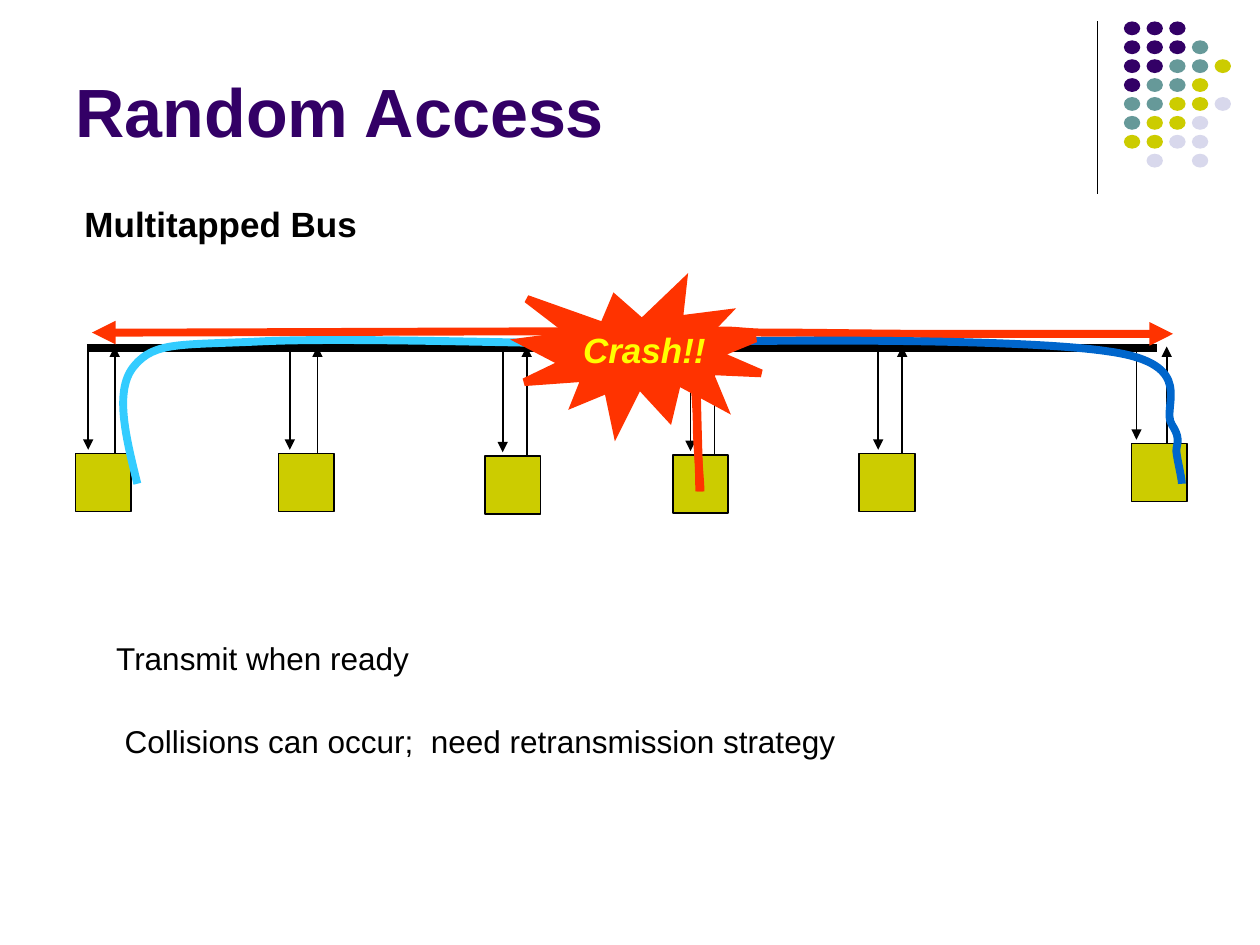
import pptx
import pptx.util
import pptx.dml.color
import pptx.enum.shapes
import pptx.enum.text
import pptx.oxml
import pptx.oxml.ns

HUE = {"plum": "330066", "teal": "669999", "lime": "CCCC00", "mist": "D8D8EC",
       "black": "000000", "red": "FF3300", "sky": "33CCFF", "blue": "0066CC",
       "gold": "FFFF00"}
WIDE, HIGH = 10, 7.5
FONT = "Arial"

TITLE = ("Random Access", (0.5, 0.13, 8.25, 1.12), 39, "plum")
HEAD = ("Multitapped Bus", (0.45, 1.56, 2.92, 0.43), 20)
INSET = 0.22
NOTES = [
    ("Transmit when ready", (0.82, 5.02, 2.53, 0.4)),
    ("Collisions can occur;  need retransmission strategy", (0.86, 5.68, 5.9, 0.4)),
]
CRASH = ("Crash!!", (4.48, 2.56, 1.27, 0.43), 20, "gold")
SEAL = (4.15, 2.25, 1.89, 1.16)

DOTS = ["PPP", "PPPT", "PPTTY", "PTTY", "TTYYL", "TYYL", "YYLL", " L L"]
KEY = {"P": "plum", "T": "teal", "Y": "lime", "L": "mist"}
DOT = (8.92, 0.17, 0.13, 0.11)
STEP = (0.18, 0.15)

BUS = 2.76
SIDE = (0.44, 0.46)
NODES = [
    (0.6, 3.6, 0.1, 0.31),
    (2.21, 3.6, 0.09, 0.31),
    (3.85, 3.62, 0.14, 0.33),
    (5.34, 3.61, 0.14, 0.33),
    (6.82, 3.6, 0.15, 0.34),
    (8.98, 3.52, 0.04, 0.28),
]

WAVES = [
    ("red", [(5.55, 3.9), (5.55, 3.75), (5.53, 3.22), (5.53, 3.01),
             (5.52, 2.8), (5.68, 2.7), (5.51, 2.64),
             (5.33, 2.58), (5.29, 2.63), (4.49, 2.63),
             (3.7, 2.63), (1.52, 2.64), (0.73, 2.64)]),
    ("red", [(5.56, 3.9), (5.56, 3.81), (5.53, 3.55), (5.53, 3.35),
             (5.53, 3.15), (5.47, 2.8), (5.57, 2.69),
             (5.68, 2.57), (5.84, 2.65), (6.16, 2.64),
             (6.48, 2.64), (6.96, 2.65), (7.48, 2.65),
             (8.01, 2.65), (8.93, 2.65), (9.31, 2.65)]),
    ("sky", [(1.09, 3.84), (1, 3.47), (0.9, 3.09), (1.07, 2.9),
             (1.23, 2.71), (1.44, 2.74), (2.07, 2.71),
             (2.69, 2.68), (4.35, 2.73), (4.81, 2.73)]),
    ("blue", [(9.38, 3.84), (9.38, 3.8), (9.35, 3.68), (9.34, 3.61),
              (9.32, 3.53), (9.39, 3.51), (9.3, 3.37),
              (9.21, 3.23), (9.52, 2.89), (8.8, 2.79),
              (8.08, 2.68), (5.59, 2.7), (5, 2.73)]),
]

KIND = pptx.enum.shapes.MSO_SHAPE
ALIGN = pptx.enum.text.PP_ALIGN
LEFT, MID = ALIGN.LEFT, ALIGN.CENTER


def inch(*vals):
    return [pptx.util.Inches(val) for val in vals]


def rgb(hue):
    return pptx.dml.color.RGBColor.from_string(HUE[hue])


def tag(host, name, **attrs):
    ns = "http://schemas.openxmlformats.org/drawingml/2006/main"
    item = pptx.oxml.parse_xml(f'<a:{name} xmlns:a="{ns}"/>')
    for attr, val in attrs.items():
        item.set(attr, val)
    host.append(item)
    return item


def stroke(item, hue, size, head=False, miter=False):
    item.line.color.rgb = rgb(hue)
    item.line.width = pptx.util.Pt(size)
    pen = item.line._get_or_add_ln()
    if miter:
        tag(pen, "miter", lim="800000")
    if head:
        tag(pen, "tailEnd", type="triangle")


def shape(kind, box, hue):
    item = slide.shapes.add_shape(kind, *inch(*box))
    item.shadow.inherit = False
    item.fill.solid()
    item.fill.fore_color.rgb = rgb(hue)
    item.line.fill.background()
    return item


def line(start, end, size, head=False):
    kind = pptx.enum.shapes.MSO_CONNECTOR.STRAIGHT
    item = slide.shapes.add_connector(kind, *inch(*start, *end))
    stroke(item, "black", size, head)
    tag(item._element.spPr, "effectLst")


def curve(item):
    name = pptx.oxml.ns.qn
    track = next(item._element.iter(name("a:path")))
    legs = track.findall(name("a:lnTo"))
    for at in range(0, len(legs), 3):
        bend = tag(track, "cubicBezTo")
        for leg in legs[at:at + 3]:
            bend.append(leg[0])
            track.remove(leg)


def wave(hue, pts):
    grid = [(round(100 * x), round(100 * y)) for x, y in pts]
    form = slide.shapes.build_freeform(*grid[0], scale=9144)
    form.add_line_segments(grid[1:], close=False)
    item = form.convert_to_shape()
    curve(item)
    item.shadow.inherit = False
    item.fill.background()
    stroke(item, hue, 4.5, head=True)


def write(frame, text, size, hue, align, bold=False, slant=False):
    para = frame.paragraphs[0]
    para.alignment = align
    run = para.add_run()
    run.text = text
    font = run.font
    font.name, font.size = FONT, pptx.util.Pt(size)
    font.bold, font.italic = bold, slant
    font.color.rgb = rgb(hue)


def label(text, box, size=18, hue="black", align=MID, wrap=False, **style):
    frame = slide.shapes.add_textbox(*inch(*box)).text_frame
    frame.word_wrap = wrap
    write(frame, text, size, hue, align, **style)
    return frame


deck = pptx.Presentation()
deck.slide_width, deck.slide_height = inch(WIDE, HIGH)
slide = deck.slides.add_slide(deck.slide_layouts[5])

text, box, size, hue = TITLE
title = slide.shapes.title
title.left, title.top, title.width, title.height = inch(*box)
title.text_frame.vertical_anchor = pptx.enum.text.MSO_ANCHOR.BOTTOM
write(title.text_frame, text, size, hue, LEFT, bold=True)

line((8.71, 0.17), (8.71, 1.54), 0.75)
x, y, w, h = DOT
for row, marks in enumerate(DOTS):
    for col, mark in enumerate(marks):
        if mark in KEY:
            shape(KIND.OVAL, (x + col * STEP[0], y + row * STEP[1], w, h), KEY[mark])

for x, y, down, up in NODES:
    stroke(shape(KIND.RECTANGLE, (x, y, *SIDE), "lime"), "black", 1)
    line((x + down, BUS + 0.03), (x + down, y - 0.03), 1, head=True)
    line((x + up, y), (x + up, BUS - 0.01), 1, head=True)
line((0.69, BUS), (9.18, BUS), 4.5)

for hue, pts in WAVES:
    wave(hue, pts)

stroke(shape(KIND.EXPLOSION1, SEAL, "red"), "red", 4.5, miter=True)
label(*CRASH, bold=True, slant=True)
head = label(*HEAD, align=LEFT, wrap=True, bold=True)
head.margin_left = pptx.util.Inches(INSET)
for note in NOTES:
    label(*note)

deck.save("out.pptx")
